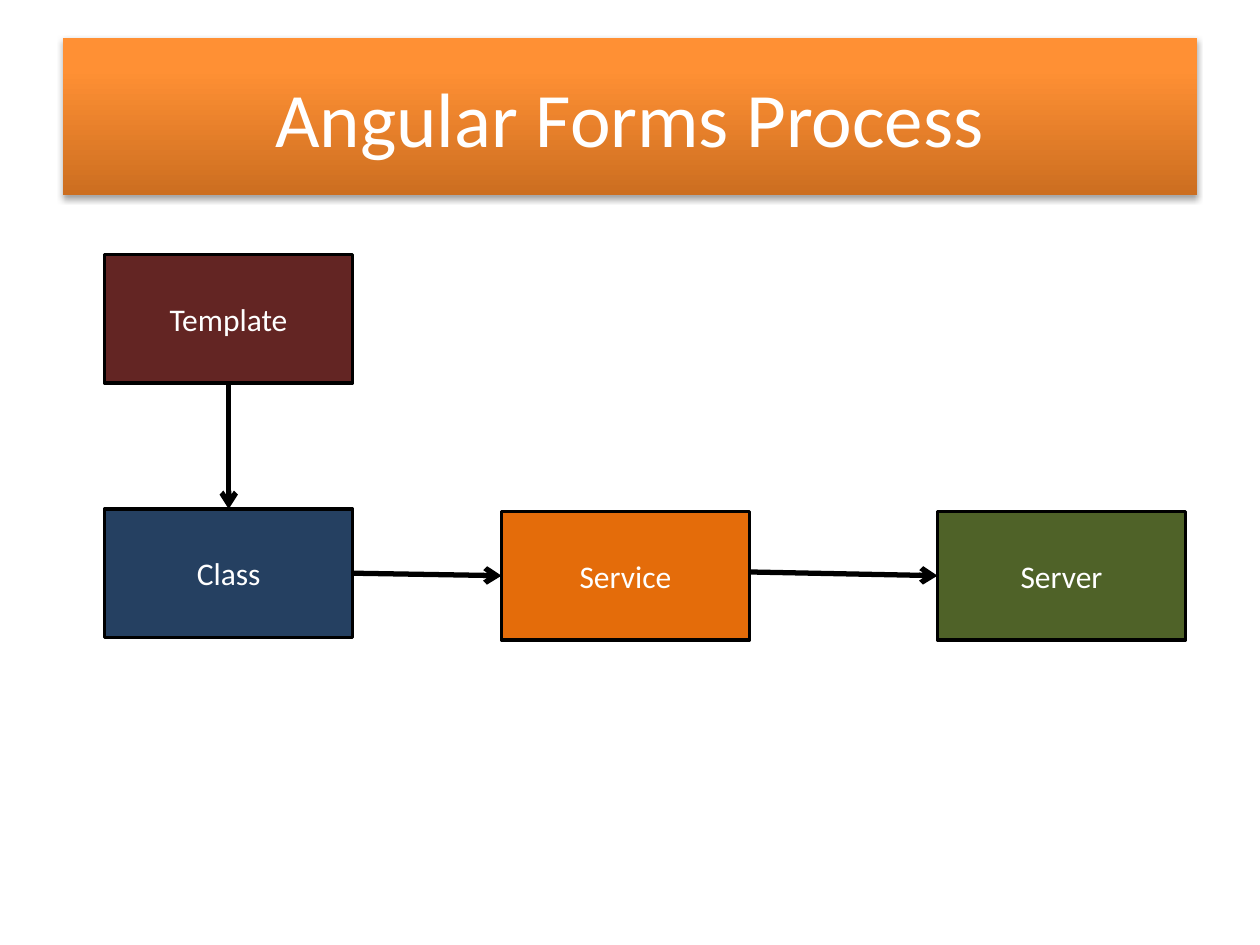
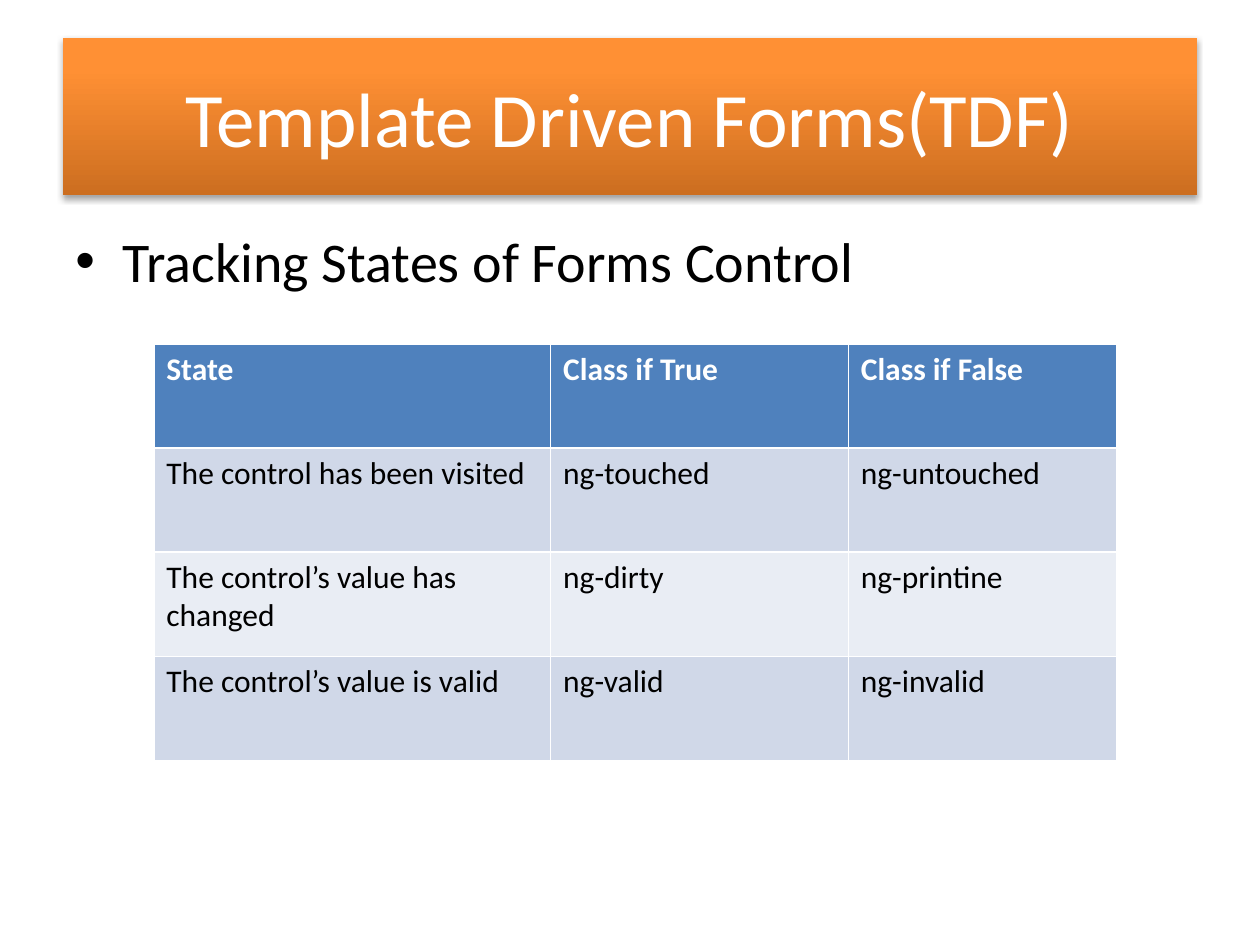
from dataclasses import dataclass

from lxml import etree
from pptx import Presentation
from pptx.dml.color import RGBColor
from pptx.enum.shapes import MSO_CONNECTOR, MSO_SHAPE
from pptx.enum.text import MSO_ANCHOR, PP_ALIGN
from pptx.oxml import parse_xml
from pptx.oxml.ns import qn
from pptx.presentation import Presentation as Deck
from pptx.shapes.autoshape import Shape
from pptx.shapes.connector import Connector
from pptx.slide import Slide
from pptx.text.text import _Paragraph as Paragraph
from pptx.util import Cm, Pt

RECTANGLE = MSO_SHAPE.RECTANGLE
STRAIGHT = MSO_CONNECTOR.STRAIGHT
CENTER = PP_ALIGN.CENTER
LEFT = PP_ALIGN.LEFT
MIDDLE = MSO_ANCHOR.MIDDLE
TOP_SIDE, LEFT_SIDE, BOTTOM_SIDE, RIGHT_SIDE = range(4)

FONT = "Calibri"
WHITE, BLACK = "FFFFFF", "000000"
HEADER_BLUE = "4F81BD"
ROW_BANDS = ("D0D8E8", "E9EDF4")
MARGIN, CONTENT_WIDTH = 1.27, 22.86
BOX_WIDTH, BOX_HEIGHT = 5.0, 2.59
TITLE_ONLY = 5

DRAWING = 'xmlns:a="http://schemas.openxmlformats.org/drawingml/2006/main"'
BAND_GRADIENT = f"""<a:gradFill {DRAWING} rotWithShape="1"><a:gsLst>
<a:gs pos="0"><a:srgbClr val="CC6E20"/></a:gs>
<a:gs pos="80000"><a:srgbClr val="FF9034"/></a:gs>
<a:gs pos="100000"><a:srgbClr val="FF9136"/></a:gs>
</a:gsLst><a:lin ang="16200000" scaled="0"/></a:gradFill>"""
BAND_SHADOW = f"""<a:effectLst {DRAWING}>
<a:outerShdw blurRad="40000" dist="23000" dir="5400000" rotWithShape="0">
<a:srgbClr val="000000"><a:alpha val="35000"/></a:srgbClr>
</a:outerShdw></a:effectLst>"""


@dataclass(frozen=True)
class Box:
    label: str
    left: float
    top: float
    fill: str


PROCESS_BOXES = (
    Box("Template", 2.11, 5.13, "632523"),
    Box("Class", 2.11, 10.26, "254061"),
    Box("Service", 10.11, 10.31, "E46C0A"),
    Box("Server", 18.9, 10.31, "4F6228"),
)

STATE_COLUMNS = (8.0, 6.0, 5.41)
STATE_ROW_HEIGHT = 2.1
STATE_ROWS = (
    ("State", "Class if True", "Class if False"),
    ("The control has been visited", "ng-touched", "ng-untouched"),
    ("The control’s value has changed", "ng-dirty", "ng-printine"),
    ("The control’s value is valid", "ng-valid", "ng-invalid"),
)


def color(value: str) -> RGBColor:
    return RGBColor.from_string(value)


def add_run(paragraph: Paragraph, text: str, size: float, text_color: str,
            bold: bool = False, alignment: PP_ALIGN = LEFT) -> None:
    paragraph.alignment = alignment
    run = paragraph.add_run()
    run.text = text
    run.font.name = FONT
    run.font.size = Pt(size)
    run.font.bold = bold
    run.font.color.rgb = color(text_color)


def add_titled_slide(presentation: Deck, text: str) -> Slide:
    slide = presentation.slides.add_slide(presentation.slide_layouts[TITLE_ONLY])
    title = slide.shapes.title
    title.left, title.top = Cm(MARGIN), Cm(0.76)
    title.width, title.height = Cm(CONTENT_WIDTH), Cm(3.18)
    for band_format in (BAND_GRADIENT, BAND_SHADOW):
        title.element.spPr.append(parse_xml(band_format))
    title.text_frame.vertical_anchor = MIDDLE
    add_run(title.text_frame.paragraphs[0], text, 44, WHITE, alignment=CENTER)
    return slide


def add_box(slide: Slide, box: Box) -> Shape:
    shape = slide.shapes.add_shape(RECTANGLE, Cm(box.left), Cm(box.top),
                                   Cm(BOX_WIDTH), Cm(BOX_HEIGHT))
    shape.shadow.inherit = False
    shape.fill.solid()
    shape.fill.fore_color.rgb = color(box.fill)
    shape.line.color.rgb = color(BLACK)
    shape.line.width = Pt(2)
    shape.text_frame.vertical_anchor = MIDDLE
    add_run(shape.text_frame.paragraphs[0], box.label, 18, WHITE, alignment=CENTER)
    return shape


def add_arrow(slide: Slide, start_x: float = 0, start_y: float = 0) -> Connector:
    start = Cm(start_x), Cm(start_y)
    arrow = slide.shapes.add_connector(STRAIGHT, *start, *start)
    arrow.line.color.rgb = color(BLACK)
    arrow.line.width = Pt(3)
    etree.SubElement(arrow.line._get_or_add_ln(), qn("a:tailEnd"), type="arrow")
    etree.SubElement(arrow.element.spPr, qn("a:effectLst"))
    return arrow


def join_boxes(slide: Slide, source: Shape, source_side: int,
               target: Shape, target_side: int) -> None:
    arrow = add_arrow(slide)
    arrow.begin_connect(source, source_side)
    arrow.end_connect(target, target_side)


def add_bullet(slide: Slide, text: str) -> None:
    text_box = slide.shapes.add_textbox(Cm(MARGIN), Cm(4.45), Cm(CONTENT_WIDTH), Cm(12.57))
    text_box.text_frame.word_wrap = True
    paragraph = text_box.text_frame.paragraphs[0]
    paragraph.space_before = Pt(6.4)
    add_run(paragraph, text, 32, BLACK)
    properties = paragraph._p.get_or_add_pPr()
    indent = Cm(0.95)
    properties.set("marL", str(indent))
    properties.set("indent", str(-indent))
    etree.SubElement(properties, qn("a:buFont"), typeface="Arial")
    etree.SubElement(properties, qn("a:buChar"), char="•")


def add_state_table(slide: Slide) -> None:
    table = slide.shapes.add_table(
        len(STATE_ROWS), len(STATE_COLUMNS), Cm(3.1), Cm(6.93),
        Cm(sum(STATE_COLUMNS)), Cm(STATE_ROW_HEIGHT * len(STATE_ROWS))).table
    for column, width in zip(table.columns, STATE_COLUMNS):
        column.width = Cm(width)
    for row_index, texts in enumerate(STATE_ROWS):
        is_header = row_index == 0
        fill = HEADER_BLUE if is_header else ROW_BANDS[(row_index - 1) % 2]
        for cell, text in zip(table.rows[row_index].cells, texts):
            cell.fill.solid()
            cell.fill.fore_color.rgb = color(fill)
            add_run(cell.text_frame.paragraphs[0], text, 18,
                    WHITE if is_header else BLACK, bold=is_header)


def build_process_slide(presentation: Deck) -> None:
    slide = add_titled_slide(presentation, "Angular Forms Process")
    template, class_box, service, server = [add_box(slide, box) for box in PROCESS_BOXES]
    join_boxes(slide, template, BOTTOM_SIDE, class_box, TOP_SIDE)
    join_boxes(slide, class_box, RIGHT_SIDE, service, LEFT_SIDE)
    # This arrow leaves Service slightly above its middle
    add_arrow(slide, 15.1, 11.53).end_connect(server, LEFT_SIDE)


def build_states_slide(presentation: Deck) -> None:
    slide = add_titled_slide(presentation, "Template Driven Forms(TDF)")
    add_bullet(slide, "Tracking States of Forms Control")
    add_state_table(slide)


def main() -> None:
    presentation = Presentation()
    presentation.slide_width, presentation.slide_height = Cm(25.4), Cm(19.05)
    build_process_slide(presentation)
    build_states_slide(presentation)
    presentation.save("out.pptx")


if __name__ == "__main__":
    main()
